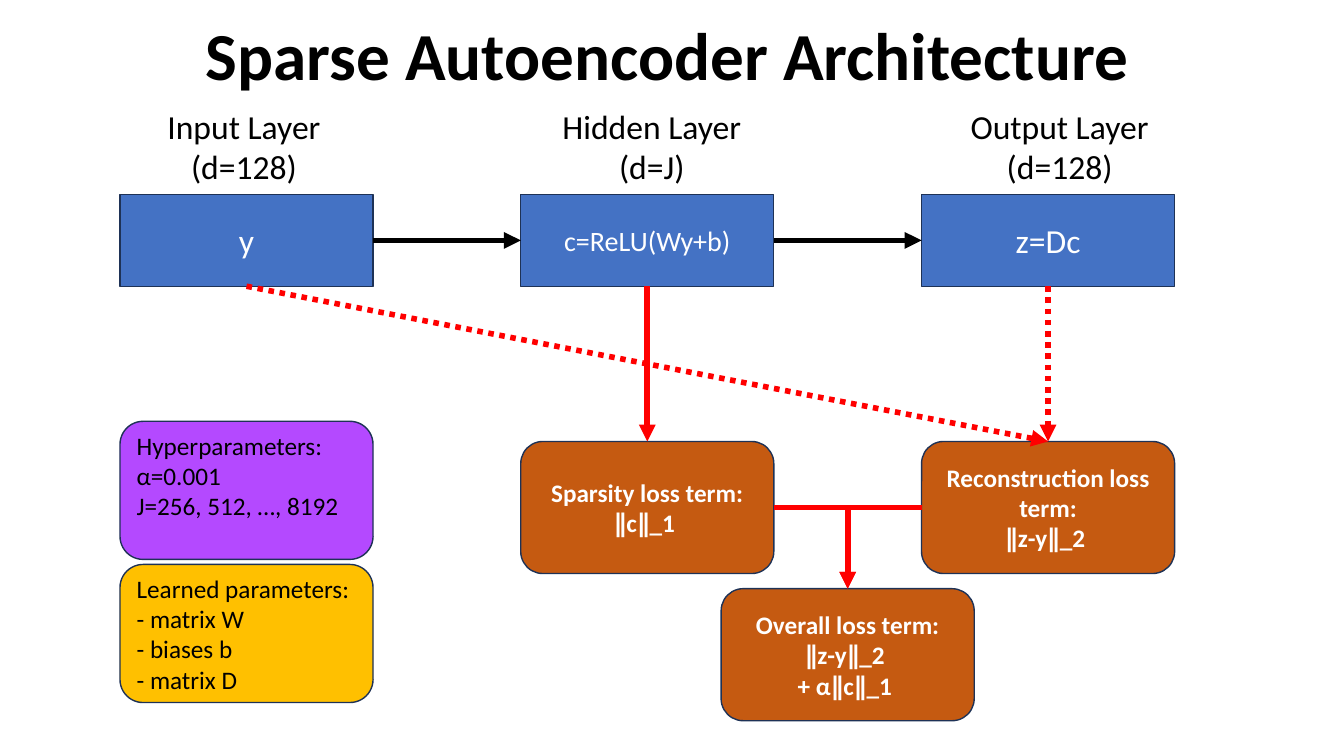
"""Build the sparse autoencoder architecture slide."""
import pptx
import pptx.util
import pptx.dml.color
import pptx.enum.dml
import pptx.enum.shapes
import pptx.enum.text
import pptx.oxml
import pptx.oxml.ns

Inches = pptx.util.Inches
ALIGN = pptx.enum.text.PP_ALIGN
ANCHOR = pptx.enum.text.MSO_ANCHOR
SHAPE = pptx.enum.shapes.MSO_SHAPE
qn = pptx.oxml.ns.qn

FONT = "Calibri"
COLORS = {
    "layer": "4472C4", "loss": "C55A11", "hyper": "B449FF", "learned": "FFC000",
    "edge": "1E3256", "black": "000000", "white": "FFFFFF", "red": "FF0000",
}
TITLE = "Sparse Autoencoder Architecture"
LAYERS = [
    ("input", "Input Layer", "(d=128)", "y", 24),
    ("hidden", "Hidden Layer", "(d=J)", "c=ReLU(Wy+b)", 20),
    ("output", "Output Layer", "(d=128)", "z=Dc", 24),
]
LOSSES = [
    ("sparsity", 1, 4.38, ["Sparsity loss term:", "∥c∥_1 "]),
    ("reconstruction", 2, 4.38, ["Reconstruction loss term:", "∥z-y∥_2 "]),
    ("overall", 1.5, 5.84, ["Overall loss term:", "∥z-y∥_2 ", "+ α∥c∥_1 "]),
]
CARDS = [
    ("hyper", 4.18, ["Hyperparameters:", "α=0.001", "J=256, 512, …, 8192"]),
    ("learned", 5.6, ["Learned parameters: ", "- matrix W", "- biases b ", "- matrix D"]),
]
TOP, LEFT, BOTTOM, RIGHT = range(4)
ARROWS = [
    ("input", RIGHT, "hidden", LEFT, "black", "solid"),
    ("hidden", RIGHT, "output", LEFT, "black", "solid"),
    ("hidden", BOTTOM, "sparsity", TOP, "red", "solid"),
    ("output", BOTTOM, "reconstruction", TOP, "red", "dotted"),
    ("input", BOTTOM, "reconstruction", TOP, "red", "dotted"),
    ("sparsity", RIGHT, "overall", TOP, "red", "bent"),
    ("reconstruction", LEFT, "overall", TOP, "red", "bent"),
]
BOX_LEFT, BOX_PITCH, BOX_W = 1.19, (9.14 - 1.19) / 2, 2.51
LAYER_TOP, LAYER_H, LOSS_H, CARD_H = 1.93, 0.91, 1.31, 1.37
LABEL_LEFT, LABEL_PITCH, LABEL_W = 1.39, (9.48 - 1.39) / 2, 2.06


def rgb(name):
    return pptx.dml.color.RGBColor.from_string(COLORS[name])


def write(tf, lines, size, color, bold=False, align=ALIGN.CENTER):
    for i, line in enumerate(lines):
        p = tf.paragraphs[0] if i == 0 else tf.add_paragraph()
        p.alignment = align
        r = p.add_run()
        r.text = line
        r.font.name = FONT
        r.font.size = pptx.util.Pt(size)
        r.font.bold = bold
        r.font.color.rgb = rgb(color)


def add_text(s, x, y, w, h, lines, size, wrap=True, **style):
    tf = s.shapes.add_textbox(*map(Inches, (x, y, w, h))).text_frame
    tf.word_wrap = wrap
    write(tf, lines, size, "black", **style)
    return tf


def add_box(s, kind, column, y, h, fill):
    x = BOX_LEFT + column * BOX_PITCH
    sp = s.shapes.add_shape(kind, *map(Inches, (x, y, BOX_W, h)))
    sp.shadow.inherit = False
    sp.fill.solid()
    sp.fill.fore_color.rgb = rgb(fill)
    sp.line.color.rgb = rgb("edge")
    sp.line.width = pptx.util.Pt(1)
    sp.text_frame.word_wrap = True
    sp.text_frame.vertical_anchor = ANCHOR.MIDDLE
    return sp


def add_arrow(s, start, start_site, end, end_site, color, style):
    kinds = pptx.enum.shapes.MSO_CONNECTOR
    kind = kinds.ELBOW if style == "bent" else kinds.STRAIGHT
    c = s.shapes.add_connector(kind, 0, 0, 0, 0)
    c.begin_connect(start, start_site)
    c.end_connect(end, end_site)
    c.line.color.rgb = rgb(color)
    c.line.width = pptx.util.Pt(4)
    if style == "dotted":
        c.line.dash_style = pptx.enum.dml.MSO_LINE.ROUND_DOT
    sp_pr = c._element.spPr
    if style == "bent":
        sp_pr.find(qn("a:prstGeom")).set("prst", "bentConnector2")
    tail = pptx.oxml.parse_xml(
        f'<a:tailEnd {pptx.oxml.ns.nsdecls("a")} type="triangle"/>')
    sp_pr.find(qn("a:ln")).append(tail)
    sp_pr.append(pptx.oxml.parse_xml(f'<a:effectLst {pptx.oxml.ns.nsdecls("a")}/>'))


def main():
    prs = pptx.Presentation()
    prs.slide_width, prs.slide_height = Inches(13.33), Inches(7.5)
    s = prs.slides.add_slide(prs.slide_layouts[6])
    add_text(s, 1.94, 0.08, 9.45, 0.91, [TITLE], 48, wrap=False,
             bold=True, align=ALIGN.LEFT)
    boxes = {}
    for i, (key, name, size_note, formula, size) in enumerate(LAYERS):
        tf = add_text(s, LABEL_LEFT + i * LABEL_PITCH, 1, LABEL_W, 0.91,
                      [name, size_note], 24)
        tf.margin_left = tf.margin_right = 0
        boxes[key] = add_box(s, SHAPE.RECTANGLE, i, LAYER_TOP, LAYER_H, "layer")
        write(boxes[key].text_frame, [formula], size, "white")
    for key, column, y, lines in LOSSES:
        boxes[key] = add_box(s, SHAPE.ROUNDED_RECTANGLE, column, y, LOSS_H, "loss")
        write(boxes[key].text_frame, lines, 18, "white", bold=True)
    for fill, y, lines in CARDS:
        tf = add_box(s, SHAPE.ROUNDED_RECTANGLE, 0, y, CARD_H, fill).text_frame
        tf.vertical_anchor = ANCHOR.TOP
        tf.margin_top = Inches(0.02)
        write(tf, lines, 18, "black", align=ALIGN.LEFT)
    for start, start_site, end, end_site, color, style in ARROWS:
        add_arrow(s, boxes[start], start_site, boxes[end], end_site, color, style)
    prs.save("out.pptx")


if __name__ == "__main__":
    main()
